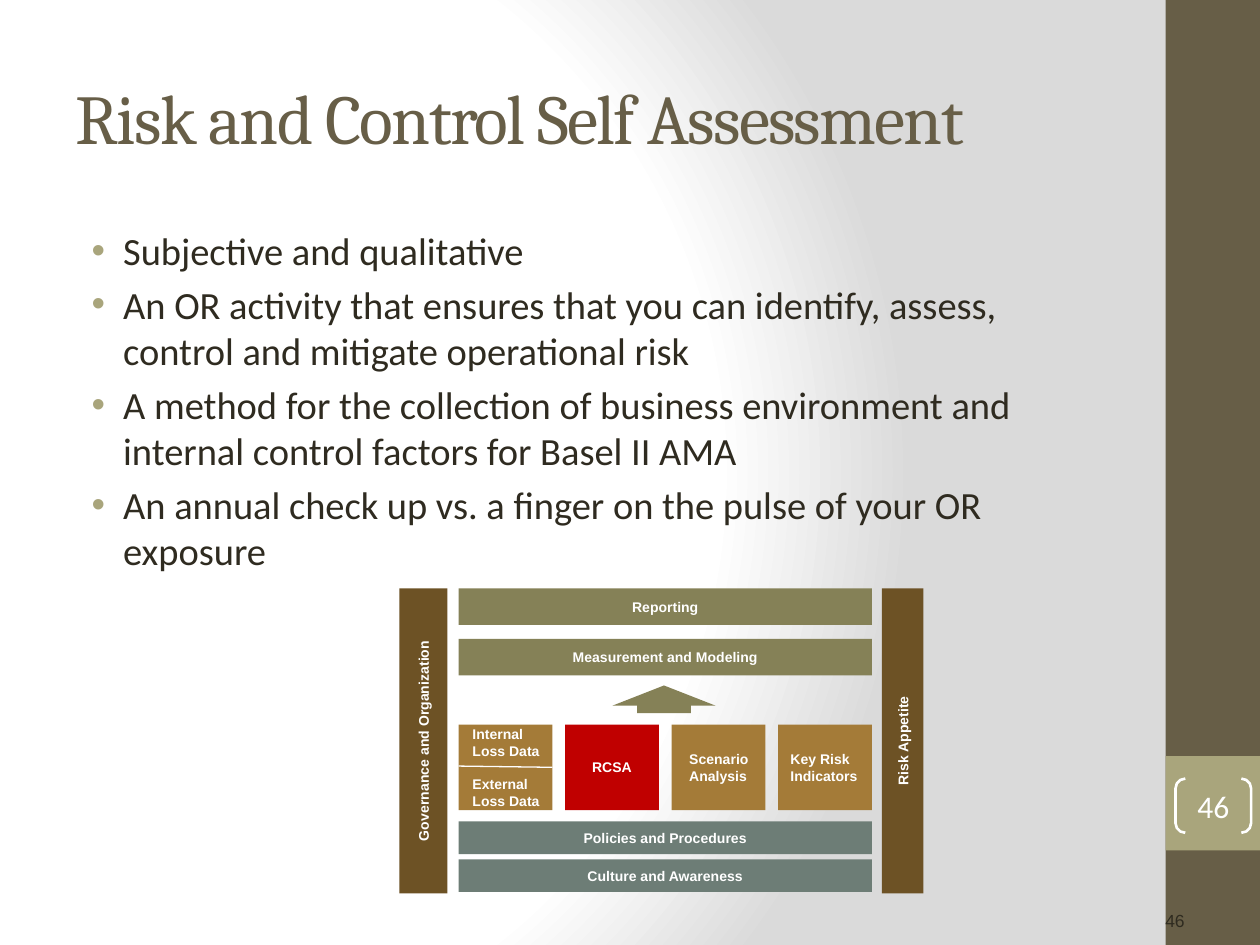
from lxml.etree import SubElement
from pptx import Presentation
from pptx.dml.color import RGBColor
from pptx.enum.shapes import MSO_CONNECTOR, MSO_SHAPE as SH
from pptx.enum.text import MSO_ANCHOR, PP_ALIGN as AL
from pptx.oxml import parse_xml
from pptx.oxml.ns import nsdecls, qn
from pptx.util import Inches, Pt

TITLE = "Risk and Control Self Assessment"
BULLETS = [
    "Subjective and qualitative",
    "An OR activity that ensures that you can identify, assess, control and mitigate operational risk",
    "A method for the collection of business environment and internal control factors for Basel II AMA",
    "An annual check up vs. a finger on the pulse of your OR exposure",
]
NUMBER = "46"
BROWN, SAGE, INK, WHITE = "675E47", "A9A57C", "2F2B20", "FFFFFF"
OLIVE, SLATE, EARTH, OCHRE, RED = "858157", "6D7D76", "6D5225", "A47B38", "C00000"

LEFT, TOP, WIDTH, HEIGHT = 3.64, 4.67, 3.28, 2.42
GAP, CELL_TOP, CELL_H = 0.1, 5.75, 0.68
BANDS = [
    ("Reporting", TOP, 0.29, OLIVE),
    ("Measurement and Modeling", 5.07, 0.29, OLIVE),
    ("Policies and Procedures", 6.52, 0.26, SLATE),
    ("Culture and Awareness", 6.82, 0.26, SLATE),
]
CELLS = [
    (["Internal", "Loss Data", "External Loss Data"], OCHRE, AL.LEFT, 0.11),
    (["RCSA"], RED, AL.CENTER, 0.05),
    (["Scenario Analysis"], OCHRE, AL.LEFT, 0.14),
    (["Key Risk Indicators"], OCHRE, AL.LEFT, 0.1),
]
PILLARS = [("Governance and Organization", 3.17, 0.38), ("Risk Appetite", 7, 0.33)]
GRADIENT = [(0, WHITE), (75, WHITE), (100, "DADADA")]


def rgb(color):
    return RGBColor.from_string(color)


def box(x, y, w, h, fill=None, kind=SH.RECTANGLE):
    s = slide.shapes.add_shape(kind, Inches(x), Inches(y), Inches(w), Inches(h))
    s.shadow.inherit = False
    s.line.fill.background()
    if fill:
        s.fill.solid()
        s.fill.fore_color.rgb = rgb(fill)
    else:
        s.fill.background()
    return s


def write(s, lines, size, font, color, align=AL.LEFT, bold=False, anchor=MSO_ANCHOR.MIDDLE,
          inset=(0.1, 0.05)):
    tf = s.text_frame
    tf.word_wrap = True
    tf.vertical_anchor = anchor
    tf.margin_left, tf.margin_right = Inches(inset[0]), Inches(min(inset[0], 0.05))
    tf.margin_top = tf.margin_bottom = Inches(inset[1])
    for i, line in enumerate(lines):
        p = tf.add_paragraph() if i else tf.paragraphs[0]
        p.alignment = align
        p.space_before = Pt(0)
        r = p.add_run()
        r.text = line
        f = r.font
        f.size, f.name, f.bold = Pt(size), font, bold
        f.color.rgb = rgb(color)
    return tf


def label(s, lines, align=AL.CENTER, inset=0.05):
    return write(s, lines, 8, "Arial", WHITE, align, True, inset=(inset, 0))


def text_box(x, y, w, h):
    return slide.shapes.add_textbox(Inches(x), Inches(y), Inches(w), Inches(h))


prs = Presentation()
prs.slide_width, prs.slide_height = Inches(10), Inches(7.5)
slide = prs.slides.add_slide(prs.slide_layouts[5])

fill = slide.background.fill
fill.solid()
fill.fore_color.rgb = rgb(WHITE)
stops = "".join(f'<a:gs pos="{pos * 1000}"><a:srgbClr val="{c}"/></a:gs>' for pos, c in GRADIENT)
solid = slide.background._cSld.find(".//" + qn("a:solidFill"))
solid.getparent().replace(solid, parse_xml(
    f'<a:gradFill {nsdecls("a")} rotWithShape="1"><a:gsLst>{stops}</a:gsLst>'
    '<a:path path="circle"><a:fillToRect l="20000" t="50000" r="100000" b="50000"/></a:path>'
    '</a:gradFill>'))

box(9.25, 0, 0.75, 7.5, BROWN)
box(9.25, 6, 0.75, 0.75, SAGE)
write(text_box(7.42, 7.17, 2.08, 0.5), [NUMBER], 10, "Arial", INK, AL.RIGHT,
      anchor=MSO_ANCHOR.TOP).margin_right = Inches(0.1)

title = slide.shapes.title
title.left, title.top, title.width, title.height = map(Inches, (0.5, 0.3, 8.33, 1.25))
tf = write(title, [TITLE], 40, "Cambria", BROWN)
tf.paragraphs[0].runs[0].font._element.set("spc", "-100")

tf = write(text_box(0.5, 1.75, 8.33, 5.25), BULLETS, 22, "Calibri", INK, anchor=MSO_ANCHOR.TOP)
for i, p in enumerate(tf.paragraphs):
    p.space_before = Pt(4.4 if i else 0)
    pPr = p._p.get_or_add_pPr()
    pPr.set("marL", str(Inches(0.38)))
    pPr.set("indent", str(Inches(-0.25)))
    SubElement(SubElement(pPr, qn("a:buClr")), qn("a:srgbClr")).set("val", SAGE)
    SubElement(pPr, qn("a:buFont")).set("typeface", "Arial")
    SubElement(pPr, qn("a:buChar")).set("char", "•")

for text, y, h, color in BANDS:
    label(box(LEFT, y, WIDTH, h, color), [text])

cell_w = (WIDTH - GAP * (len(CELLS) - 1)) / len(CELLS)
for i, (lines, color, align, inset) in enumerate(CELLS):
    s = box(LEFT + i * (cell_w + GAP), CELL_TOP, cell_w, CELL_H, color)
    tf = label(s, lines, align, inset)
    if len(lines) > 1:
        tf.paragraphs[-1].space_before = Pt(9)

middle = CELL_TOP + CELL_H / 2
line = slide.shapes.add_connector(MSO_CONNECTOR.STRAIGHT, Inches(LEFT), Inches(middle - 0.01),
                                  Inches(LEFT + cell_w), Inches(middle))
line.line.color.rgb = rgb(WHITE)
line.line.width = Pt(0.75)
SubElement(line._element.spPr, qn("a:effectLst"))

arrow = box(4.86, 5.44, 0.82, 0.22, OLIVE, SH.UP_ARROW)
arrow.adjustments[0], arrow.adjustments[1] = 0.52, 0.73

for text, x, w in PILLARS:
    s = box(x + (w - HEIGHT) / 2, TOP + (HEIGHT - w) / 2, HEIGHT, w, EARTH)
    s.rotation = 270
    label(s, [text])

bracket = box(9.33, 6.18, 0.6, 0.43, kind=SH.DOUBLE_BRACKET)
bracket.adjustments[0] = 0.18
bracket.line.color.rgb = rgb(WHITE)
bracket.line.width = Pt(1.5)
write(bracket, [NUMBER], 18, "Calibri", WHITE, AL.CENTER, inset=(0, 0))

prs.save("out.pptx")
